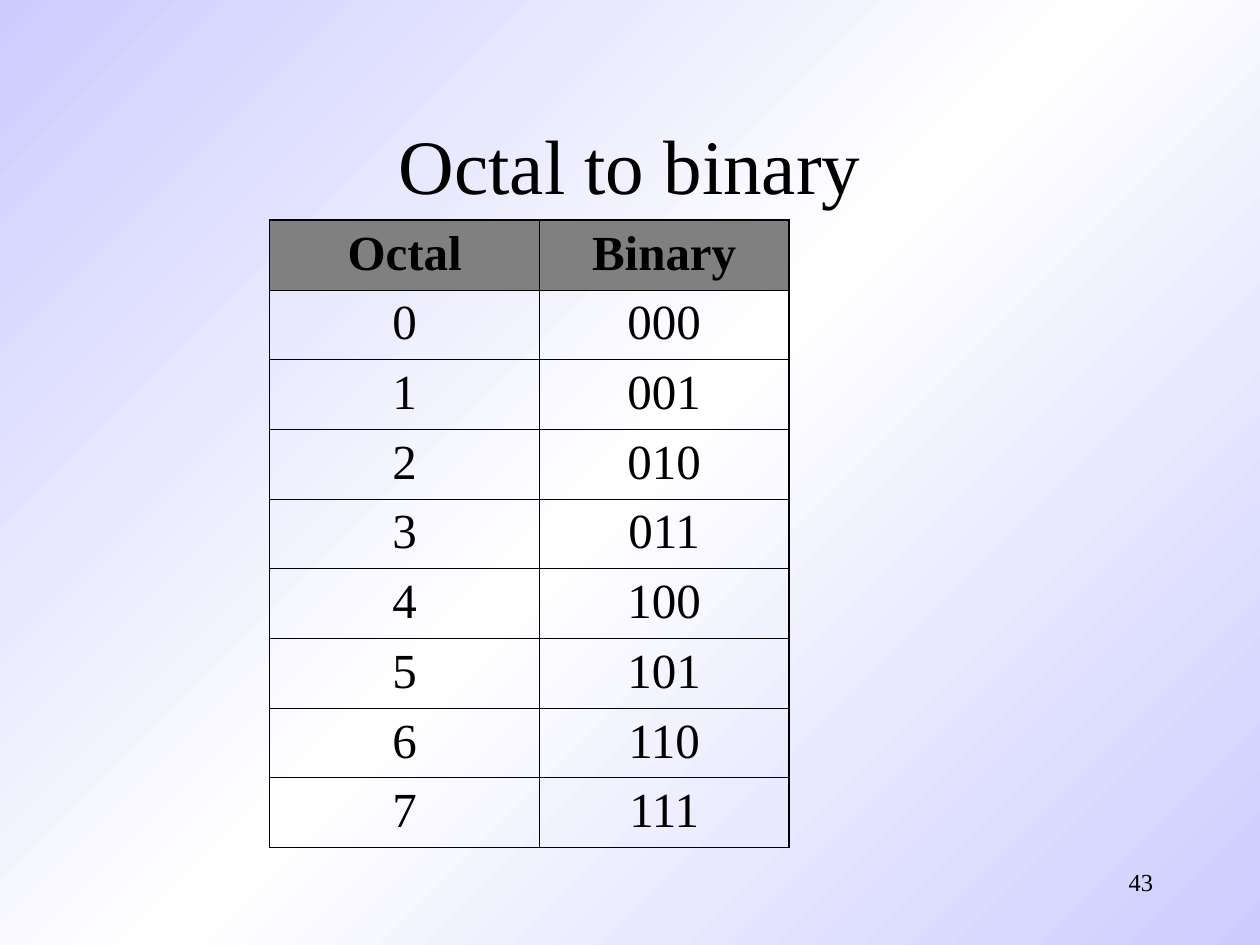
from copy import deepcopy
from pptx import Presentation
from pptx.dml.color import RGBColor as Rgb
from pptx.enum.text import MSO_ANCHOR as Anchor, PP_ALIGN as Align
from pptx.oxml import parse_xml
from pptx.oxml.ns import nsdecls
from pptx.util import Inches, Pt

COLORS = {"ink": "000000", "head": "808080", "edge": "CCCCFF", "mid": "FFFFFF"}
FONT = "Times New Roman"
THIN, THICK = 0.45, 1.08


def hue(name):
    return Rgb.from_string(COLORS[name])


def write(frame, text, size, align=Align.CENTER, bold=False, anchor=Anchor.TOP):
    frame.word_wrap = True
    frame.vertical_anchor = anchor
    para = frame.paragraphs[0]
    para.alignment = align
    run = para.add_run()
    run.text = text
    font = run.font
    font.name, font.size, font.bold = FONT, Pt(size), bold
    font.color.rgb = hue("ink")


def border(cell, **sides):
    """Draw the cell's edges; each side is L, R, T or B with a width in points."""
    props = cell._tc.get_or_add_tcPr()
    for side, width in sides.items():
        props.append(parse_xml(
            f'<a:ln{side} {nsdecls("a")} w="{Pt(width)}"><a:solidFill>'
            f'<a:srgbClr val="{COLORS["ink"]}"/></a:solidFill></a:ln{side}>'))


class Deck:
    """Holds the style and the current slide; places are shares of the slide."""

    def __init__(self):
        self.prs = Presentation()
        self.prs.slide_width, self.prs.slide_height = Inches(10), Inches(7.5)
        self.slide = self.prs.slides.add_slide(self.prs.slide_layouts[5])

    def place(self, x, y, w, h):
        wide, high = self.prs.slide_width, self.prs.slide_height
        return [round(v) for v in (x * wide, y * high, w * wide, h * high)]

    def back(self, *names):
        """Fill the background with evenly spaced colours along the diagonal."""
        fill = self.slide.background.fill
        fill.gradient()
        fill.gradient_angle = 315
        stops = self.slide.element.xpath(".//a:gsLst")[0]
        while len(stops) < len(names):
            stops.append(deepcopy(stops[0]))
        for i, (stop, name) in enumerate(zip(fill.gradient_stops, names)):
            stop.position = i / (len(names) - 1)
            stop.color.rgb = hue(name)

    def title(self, text, *box):
        shape = self.slide.shapes.title
        shape.left, shape.top, shape.width, shape.height = self.place(*box)
        write(shape.text_frame, text, 44, anchor=Anchor.MIDDLE)

    def label(self, text, *box, **style):
        shape = self.slide.shapes.add_textbox(*self.place(*box))
        write(shape.text_frame, text, **style)

    def table(self, rows, widths, *box):
        """Fill a table whose first row is the head; widths are shares of it."""
        place = self.place(*box)
        last, end = len(rows) - 1, len(widths) - 1
        table = self.slide.shapes.add_table(len(rows), len(widths), *place).table
        table.first_row = table.horz_banding = False
        for col, share in zip(table.columns, widths):
            col.width = round(place[2] * share)
        for r, row in enumerate(rows):
            for c, text in enumerate(row):
                cell = table.cell(r, c)
                cell.margin_left = cell.margin_right = Inches(0.07)
                border(cell, L=THIN if c else THICK,
                       R=THICK if c == end else THIN,
                       T=THIN if r else THICK,
                       B=THICK if r == last else THIN)
                if r:
                    cell.fill.background()
                else:
                    cell.fill.solid()
                    cell.fill.fore_color.rgb = hue("head")
                write(cell.text_frame, text, 28, bold=r == 0)


def main():
    deck = Deck()
    deck.back("edge", "mid", "edge")
    deck.title("Octal to binary", 0.075, 0.09, 0.85, 1 / 6)
    rows = [("Octal", "Binary")] + [(f"{n:o}", f"{n:03b}") for n in range(8)]
    deck.table(rows, (0.52, 0.48), 0.214, 0.233, 0.412, 0.664)
    deck.label("43", 0.717, 0.911, 0.208, 0.067, size=14, align=Align.RIGHT)
    deck.prs.save("out.pptx")


if __name__ == "__main__":
    main()
